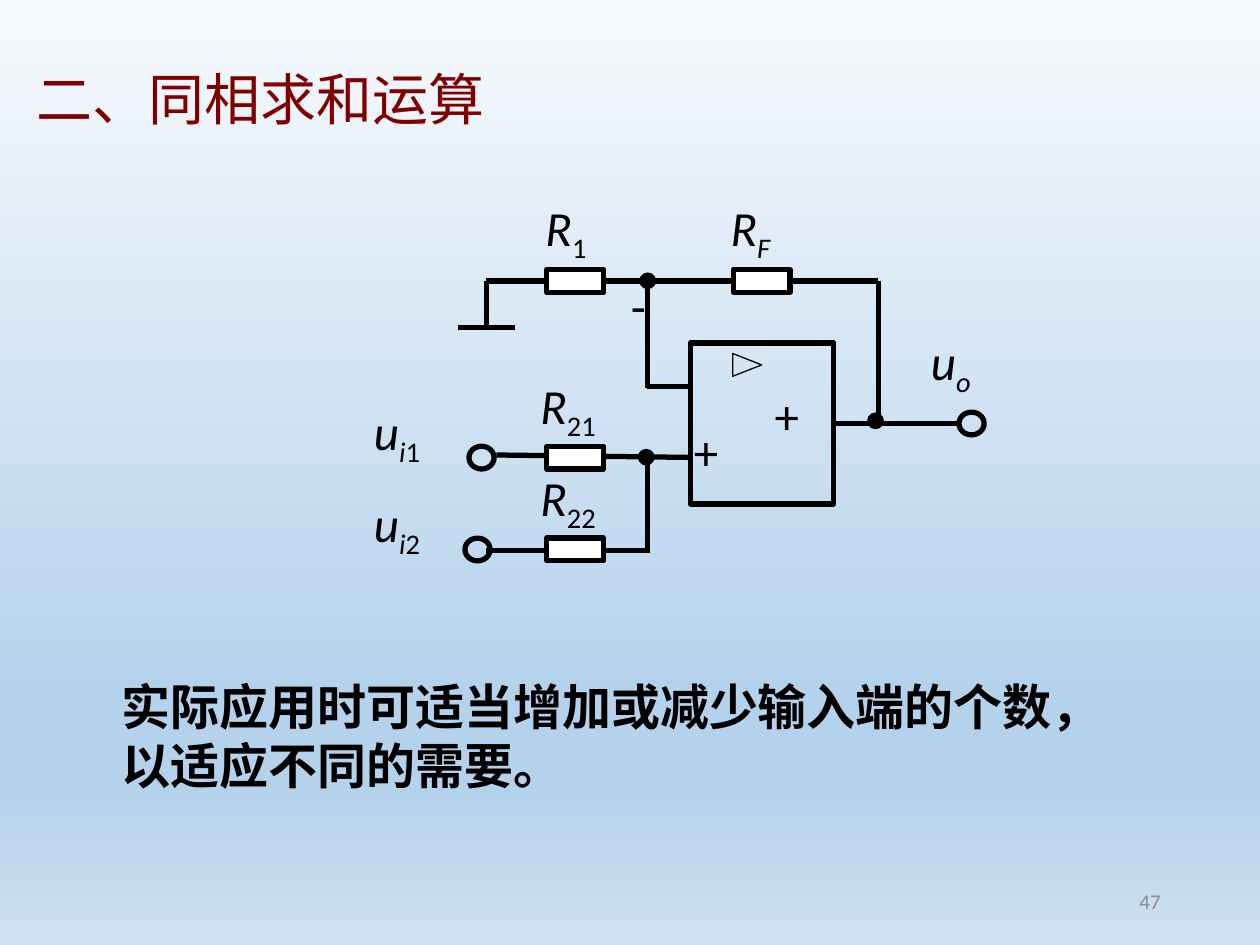
import pptx
import pptx.dml.color
import pptx.enum.shapes
import pptx.enum.text
import pptx.oxml
import pptx.oxml.ns
import pptx.util
import lxml.etree

Pt = pptx.util.Pt
SHAPE = pptx.enum.shapes.MSO_SHAPE
ALIGN = pptx.enum.text.PP_ALIGN
ANCHOR = pptx.enum.text.MSO_ANCHOR
qn = pptx.oxml.ns.qn

COLORS = {"ink": "000000", "title": "800000", "number": "8C8C8C", "paper": "FFFFFF"}
SKY = [(0, "F7FAFD"), (74, "B5D2EC"), (83, "B5D2EC"), (100, "CEE1F2")]
LATIN, CHINESE = "Calibri", "Noto Sans CJK SC"


def rgb(name):
    return pptx.dml.color.RGBColor.from_string(COLORS[name])


class Circuit:
    """Holds the drawing style and the slide; all lengths are in points."""

    wire_width = 3
    label_size = 28

    def __init__(self, slide):
        self.slide = slide

    def background(self, stops):
        fill = self.slide.background.fill
        fill.gradient()
        fill.gradient_angle = 270
        stop_list = self.slide._element.find(".//" + qn("a:gsLst"))
        for old in list(stop_list):
            stop_list.remove(old)
        for percent, color in stops:
            stop = lxml.etree.SubElement(stop_list, qn("a:gs"), pos=str(percent * 1000))
            lxml.etree.SubElement(stop, qn("a:srgbClr"), val=color)

    def text(self, left, top, width, height, runs, size=label_size, font=LATIN,
             color="ink", bold=False, align=ALIGN.LEFT, anchor=ANCHOR.TOP):
        """Add a text box; runs are (text, style), style holding i (italic) and/or s (subscript)."""
        frame = self.slide.shapes.add_textbox(Pt(left), Pt(top), Pt(width), Pt(height)).text_frame
        frame.word_wrap = True
        frame.vertical_anchor = anchor
        paragraph = frame.paragraphs[0]
        paragraph.alignment = align
        paragraph.font.size = Pt(size)
        paragraph.font.name = font
        paragraph.font.bold = bold
        paragraph.font.color.rgb = rgb(color)
        defaults = paragraph._p.pPr.find(qn("a:defRPr"))
        lxml.etree.SubElement(defaults, qn("a:ea"), typeface=font)
        for content, style in runs:
            run = paragraph.add_run()
            run.text = content
            if "i" in style:
                run.font.italic = True
            if "s" in style:
                run.font._element.set("baseline", "-25000") if hasattr(
                    run.font, "_element") else run._r.get_or_add_rPr().set("baseline", "-25000")

    def label(self, left, top, *runs, width=72):
        self.text(left, top, width, 41, runs)

    def shape(self, kind, left, top, width, height, fill=None, line=wire_width):
        shape = self.slide.shapes.add_shape(kind, Pt(left), Pt(top), Pt(width), Pt(height))
        shape.shadow.inherit = False
        if fill:
            shape.fill.solid()
            shape.fill.fore_color.rgb = rgb(fill)
        else:
            shape.fill.background()
        shape.line.color.rgb = rgb("ink")
        shape.line.width = Pt(line)
        return shape

    def resistor(self, left, top):
        self.shape(SHAPE.RECTANGLE, left, top, 32.4, 13, fill="paper")

    def terminal(self, left, top):
        self.shape(SHAPE.OVAL, left, top, 14.4, 13)

    def junction(self, left, top):
        self.shape(SHAPE.OVAL, left, top, 8.6, 8.6, fill="ink", line=1)

    def wire(self, x1, y1, x2, y2):
        wire = self.slide.shapes.add_connector(
            pptx.enum.shapes.MSO_CONNECTOR.STRAIGHT, Pt(x1), Pt(y1), Pt(x2), Pt(y2))
        wire.line.color.rgb = rgb("ink")
        wire.line.width = Pt(self.wire_width)
        lxml.etree.SubElement(wire._element.spPr, qn("a:effectLst"))
        return wire


def main():
    deck = pptx.Presentation()
    deck.slide_width, deck.slide_height = Pt(720), Pt(540)
    circuit = Circuit(deck.slides.add_slide(deck.slide_layouts[6]))
    circuit.background(SKY)

    circuit.text(508.3, 500.4, 162, 28.8, [("47", "")], size=12, color="number",
                 align=ALIGN.RIGHT, anchor=ANCHOR.MIDDLE)
    circuit.text(13.7, 33.1, 538.6, 45.4, [("二、同相求和运算", "")],
                 size=32, font=CHINESE, color="title")
    circuit.text(62.6, 383, 566.6, 74.2,
                 [("实际应用时可适当增加或减少输入端的个数，以适应不同的需要。", "")],
                 font=CHINESE, bold=True)

    ground_x, node_x, feedback_x = 278, 370, 502
    feedback_y, output_y, second_input_y = 160.5, 242, 314.6
    for ends in [
        (283.7, 260, 394.5, 261.4),
        (ground_x, second_input_y, 371.5, second_input_y),
        (ground_x, feedback_y, feedback_x, feedback_y),
        (node_x, 221, 394.5, 221),
        (node_x, 162.7, node_x, 222),
        (node_x, 263.5, node_x, 316),
        (feedback_x, feedback_y, feedback_x, 240.5),
        (ground_x, feedback_y, ground_x, 187.2),
        (261.5, 187.2, 294.5, 187.2),
    ]:
        circuit.wire(*ends)

    amplifier = circuit.shape(SHAPE.RECTANGLE, 394.5, 196, 82, 92)
    circuit.wire(476.5, output_y, 549, output_y).begin_connect(amplifier, 3)
    gain_mark = circuit.shape(SHAPE.FLOWCHART_MERGE, 420.5, 200.2, 13, 16.6, line=0.75)
    gain_mark.rotation = 270

    for corner in [(312.5, 154), (419, 154), (312.5, 255), (312.5, 307.5)]:
        circuit.resistor(*corner)
    for corner in [(268, 255), (265.7, 307.5), (548, 235.5)]:
        circuit.terminal(*corner)
    for corner in [(365.8, 156.2), (365, 257), (496, 236.2)]:
        circuit.junction(*corner)

    circuit.label(353.5, 154, ("-", ""), width=47)
    circuit.label(389.5, 237.6, ("+", ""))
    circuit.label(435.6, 216.7, ("+", ""))
    circuit.label(304.6, 109.4, ("R", "i"), ("1", "s"))
    circuit.label(410.4, 109.4, ("R", "i"), ("F", "is"))
    circuit.label(301.7, 211, ("R", "i"), ("21", "s"))
    circuit.label(301.7, 263.5, ("R", "i"), ("22", "s"))
    circuit.label(206.6, 226, ("u", "i"), ("i", "is"), ("1", "s"))
    circuit.label(206.6, 278.6, ("u", "i"), ("i", "is"), ("2", "s"))
    circuit.label(524.9, 185.8, ("u", "i"), ("o", "is"))

    deck.save("out.pptx")


if __name__ == "__main__":
    main()
